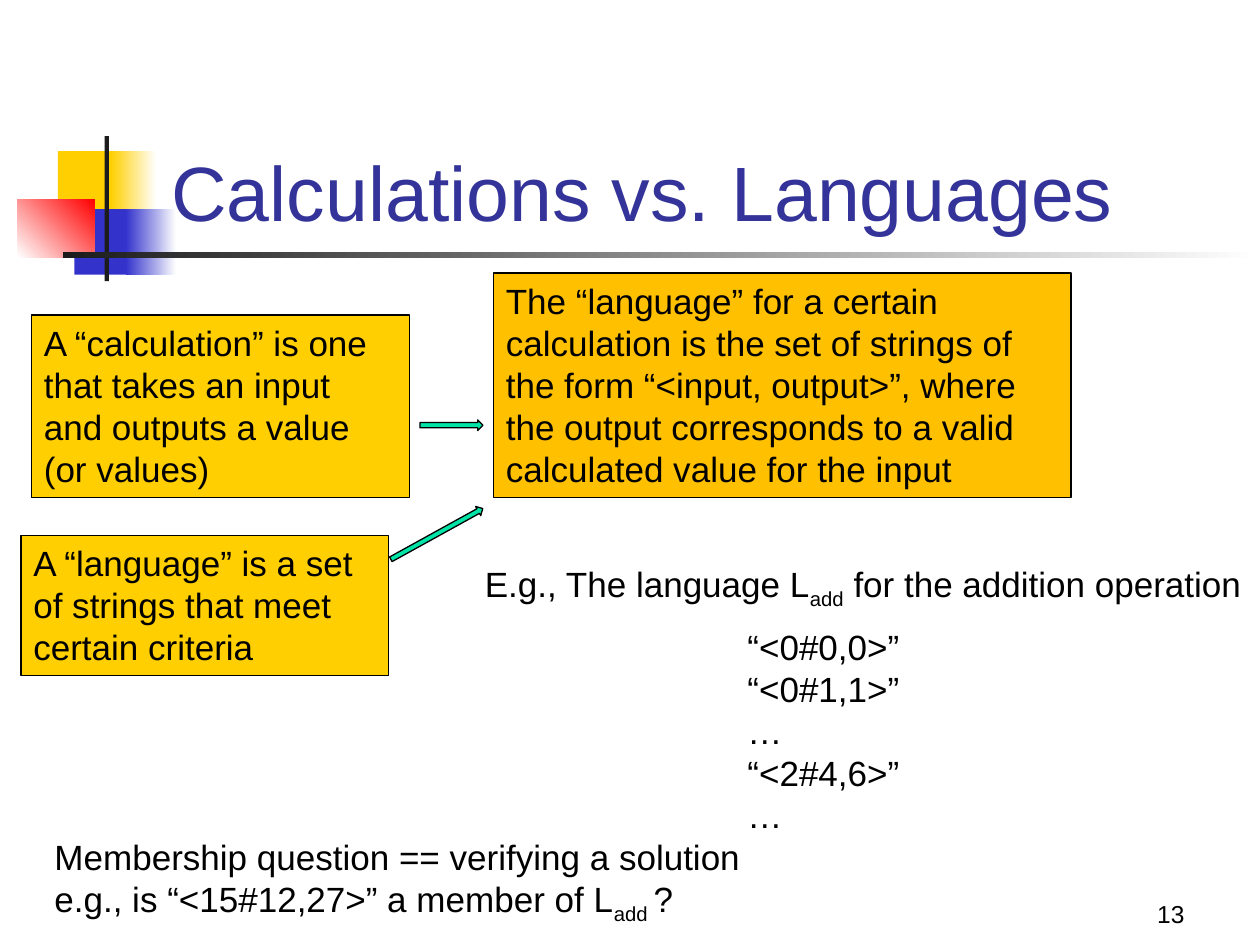
import pptx
import pptx.dml.color
import pptx.enum.shapes
import pptx.enum.text
import pptx.util

Pt = pptx.util.Pt
Shapes = pptx.enum.shapes.MSO_SHAPE
Anchor = pptx.enum.text.MSO_ANCHOR
Align = pptx.enum.text.PP_ALIGN
AutoSize = pptx.enum.text.MSO_AUTO_SIZE

THEME = {
    "font": "Arial",
    "title_size": 44, "body_size": 20, "number_size": 14,
    "title": "333399", "text": "000000", "outline": "000000",
    "yellow": "FFCF01", "amber": "FFC000", "blue": "3333CC", "red": "FF0000",
    "dark": "1C1C1C", "white": "FFFFFF", "arrow": "00E4A8",
}

# Boxes are (left, top, width, height) in points.
# Ornaments: box, colours (two make a gradient), gradient angle
ORNAMENTS = [
    ((33.1, 86.4, 34.6, 37.4), ["yellow"], 0),
    ((63.4, 86.4, 25.9, 37.4), ["yellow", "white"], 0),
    ((42.5, 119.5, 33.1, 37.4), ["blue"], 0),
    ((72, 119.5, 28.8, 37.4), ["blue", "white"], 0),
    ((10.1, 113.8, 43.9, 33.1), ["white", "red"], 45),
    ((59.8, 77.8, 2.4, 82.8), ["dark"], 0),
    ((36, 144, 684, 3.6), ["dark", "white"], 0),
]

TITLE = ("Calculations vs. Languages", (90.7, 49, 613.4, 90))
SLIDE_NUMBER = ("13", (534, 498, 150, 36))

DEFINITIONS = [
    ((18, 180, 216, 104.4), "yellow",
     "A “calculation” is one that takes an input and outputs a value (or values)"),
    ((12, 306, 210, 80.2), "yellow",
     "A “language” is a set of strings that meet certain criteria"),
    ((282, 156, 330, 128.4), "amber",
     "The “language” for a certain calculation is the set of strings of the form "
     "“<input, output>”, where the output corresponds to a valid calculated value "
     "for the input"),
]

# Each paragraph is a list of runs; "_" starts a subscript, "\n" is a line break.
NOTES = [
    ((420, 354, 101.5, 152.6),
     [["“<0#0,0>”"], ["“<0#1,1>”"], ["…"], ["“<2#4,6>”"], ["…"]]),
    ((270, 318, 463.7, 31.5),
     [["E.g., The language L", "_add", " for the addition operation"]]),
    ((24, 474, 409.7, 55.4),
     [["Membership question == verifying a solution", "\n",
       "e.g., is “<15#12,27>” a member of L", "_add ", "?"]]),
]

# Arrows: box, rotation
ARROWS = [
    ((240, 240, 36, 6), 0),
    ((219.6, 302.1, 60, 6), 331.1),
]


def colour(name):
    return pptx.dml.color.RGBColor.from_string(THEME[name])


def points(box):
    return [Pt(value) for value in box]


def write(shape, paragraphs, size="body_size", color="text", align=Align.LEFT,
          anchor=Anchor.TOP, wrap=True, auto_size=AutoSize.SHAPE_TO_FIT_TEXT):
    frame = shape.text_frame
    frame.word_wrap = wrap
    frame.auto_size = auto_size
    frame.vertical_anchor = anchor
    for index, pieces in enumerate(paragraphs):
        paragraph = frame.add_paragraph() if index else frame.paragraphs[0]
        paragraph.alignment = align
        for piece in pieces:
            if piece == "\n":
                paragraph.add_line_break()
                continue
            run = paragraph.add_run()
            run.text = piece.removeprefix("_")
            run.font.name = THEME["font"]
            run.font.size = Pt(THEME[size])
            run.font.color.rgb = colour(color)
            if piece.startswith("_"):
                run._r.get_or_add_rPr().set("baseline", "-25000")


def add_block(slide, kind, box, fills, angle=0, outlined=False):
    """Add a preset shape with a solid fill, or a gradient for two colours."""
    shape = slide.shapes.add_shape(kind, *points(box))
    shape.shadow.inherit = False
    if len(fills) == 1:
        shape.fill.solid()
        shape.fill.fore_color.rgb = colour(fills[0])
    else:
        shape.fill.gradient()
        shape.fill.gradient_angle = angle
        for stop, name in zip(shape.fill.gradient_stops, fills):
            stop.color.rgb = colour(name)
    if outlined:
        shape.line.color.rgb = colour("outline")
        shape.line.width = Pt(0.75)
    else:
        shape.line.fill.background()
    return shape


def main():
    presentation = pptx.Presentation()
    presentation.slide_width, presentation.slide_height = Pt(720), Pt(540)
    slide = presentation.slides.add_slide(presentation.slide_layouts[5])

    for box, fills, angle in ORNAMENTS:
        add_block(slide, Shapes.RECTANGLE, box, fills, angle)

    text, box = TITLE
    title = slide.shapes.title
    title.left, title.top, title.width, title.height = points(box)
    write(title, [[text]], size="title_size", color="title",
          anchor=Anchor.BOTTOM, auto_size=AutoSize.NONE)
    # Bring the title in front of the ornaments
    slide.shapes._spTree.append(title._element)

    text, box = SLIDE_NUMBER
    write(slide.shapes.add_textbox(*points(box)), [[text]], size="number_size",
          align=Align.RIGHT, anchor=Anchor.BOTTOM, auto_size=AutoSize.NONE)

    for box, fill, text in DEFINITIONS:
        shape = add_block(slide, Shapes.RECTANGLE, box, [fill], outlined=True)
        write(shape, [[text]])

    for box, paragraphs in NOTES:
        write(slide.shapes.add_textbox(*points(box)), paragraphs, wrap=False)

    for box, rotation in ARROWS:
        arrow = add_block(slide, Shapes.RIGHT_ARROW, box, ["arrow"], outlined=True)
        arrow.rotation = rotation

    presentation.save("out.pptx")


if __name__ == "__main__":
    main()
